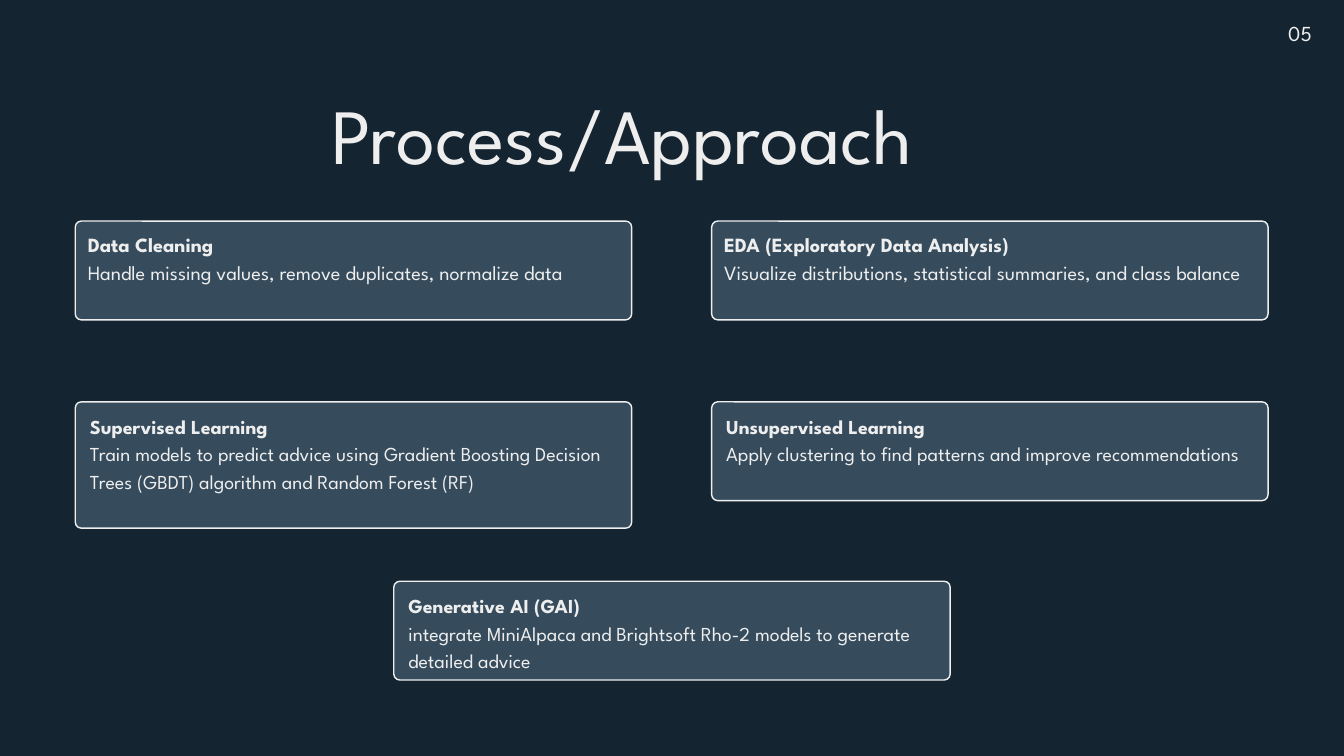
from pptx import Presentation
from pptx.dml.color import RGBColor as RGB
from pptx.enum.shapes import MSO_SHAPE as SHAPE
from pptx.enum.text import MSO_ANCHOR as ANCHOR, MSO_AUTO_SIZE as AUTO, PP_ALIGN as ALIGN
from pptx.util import Emu, Pt

PX = 9144  # 100 px to the inch

THEME = {
    "font": "League Spartan",
    "bg": RGB.from_string("142431"),
    "card": RGB.from_string("364C5D"),
    "ink": RGB.from_string("EEEEEE"),
    "number": (22.9, 32),  # type size, line spacing
    "title": (83.8, 117.3),
    "upper": (21.6, 30.3),
    "lower": (21.2, 29.7),
    "outline": 1.5,
}


def px(*values):
    return [Emu(v * PX) for v in values]


def write(sp, lines, style, margins=(0, 0, 0, 0)):
    """Fill a shape with (text, bold) lines, top left aligned."""
    size, spacing = THEME[style]
    tf = sp.text_frame
    left, top, right, bottom = px(*margins)
    frame = {"word_wrap": True, "auto_size": AUTO.NONE, "vertical_anchor": ANCHOR.TOP,
             "margin_left": left, "margin_top": top,
             "margin_right": right, "margin_bottom": bottom}
    for name, value in frame.items():
        setattr(tf, name, value)
    for i, (text, bold) in enumerate(lines):
        p = tf.paragraphs[0] if i == 0 else tf.add_paragraph()
        p.alignment = ALIGN.LEFT
        p.line_spacing = Pt(spacing)
        p.space_before = Pt(0)
        r = p.add_run()
        r.text = text
        for name, value in {"name": THEME["font"], "size": Pt(size), "bold": bold}.items():
            setattr(r.font, name, value)
        r.font.color.rgb = THEME["ink"]


# Slide and background
prs = Presentation()
prs.slide_width, prs.slide_height = px(2000, 1125)
s = prs.slides.add_slide(prs.slide_layouts[5])
s.background.fill.solid()
s.background.fill.fore_color.rgb = THEME["bg"]

# Title
title = s.shapes.title
title.left, title.top, title.width, title.height = px(493, 105, 1131, 157)
write(title, [("Process/Approach", False)], "title")

# Page number
number = s.shapes.add_textbox(*px(1917, 24, 58, 43))
write(number, [("05", False)], "number")

# Cards: two columns, with the last card centred below
CARD_W, CARD_H, RADIUS = 828, 147, 9
LEFT, RIGHT, CENTRE = 112, 1059, 586
ROWS = (329, 598, 865)
cards = [
    (LEFT, ROWS[0], CARD_H, "upper", (16, 8), "Data Cleaning",
     "Handle missing values, remove duplicates, normalize data"),
    (RIGHT, ROWS[0], CARD_H, "upper", (16, 8), "EDA (Exploratory Data Analysis)",
     "Visualize distributions, statistical summaries, and class balance"),
    (LEFT, ROWS[1], 188, "lower", (19, 10), "Supervised Learning",
     "Train models to predict advice using Gradient Boosting Decision Trees (GBDT) "
     "algorithm and Random Forest (RF)"),
    (RIGHT, ROWS[1], CARD_H, "lower", (19, 10), "Unsupervised Learning",
     "Apply clustering to find patterns and improve recommendations"),
    (CENTRE, ROWS[2], CARD_H, "lower", (19, 10), "Generative AI (GAI)",
     "integrate MiniAlpaca and Brightsoft Rho-2 models to generate detailed advice"),
]
for x, y, h, style, (inset_x, inset_y), heading, body in cards:
    sp = s.shapes.add_shape(SHAPE.ROUNDED_RECTANGLE, *px(x, y, CARD_W, h))
    sp.adjustments[0] = RADIUS / h
    sp.shadow.inherit = False
    sp.fill.solid()
    sp.fill.fore_color.rgb = THEME["card"]
    sp.line.color.rgb = THEME["ink"]
    sp.line.width = Pt(THEME["outline"])
    write(sp, [(heading, True), (body, False)], style, (inset_x, inset_y, 8, 0))

prs.save("out.pptx")
